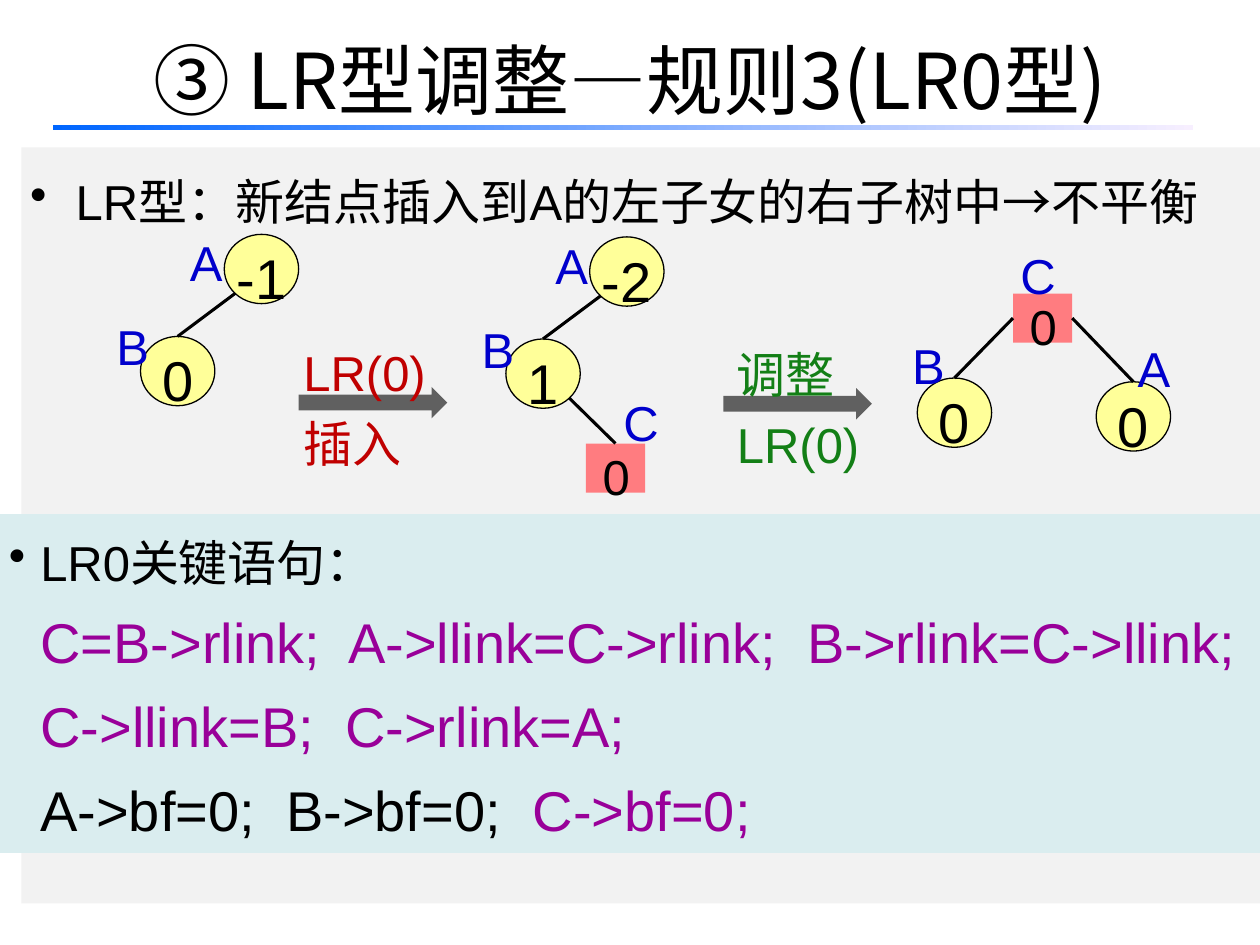
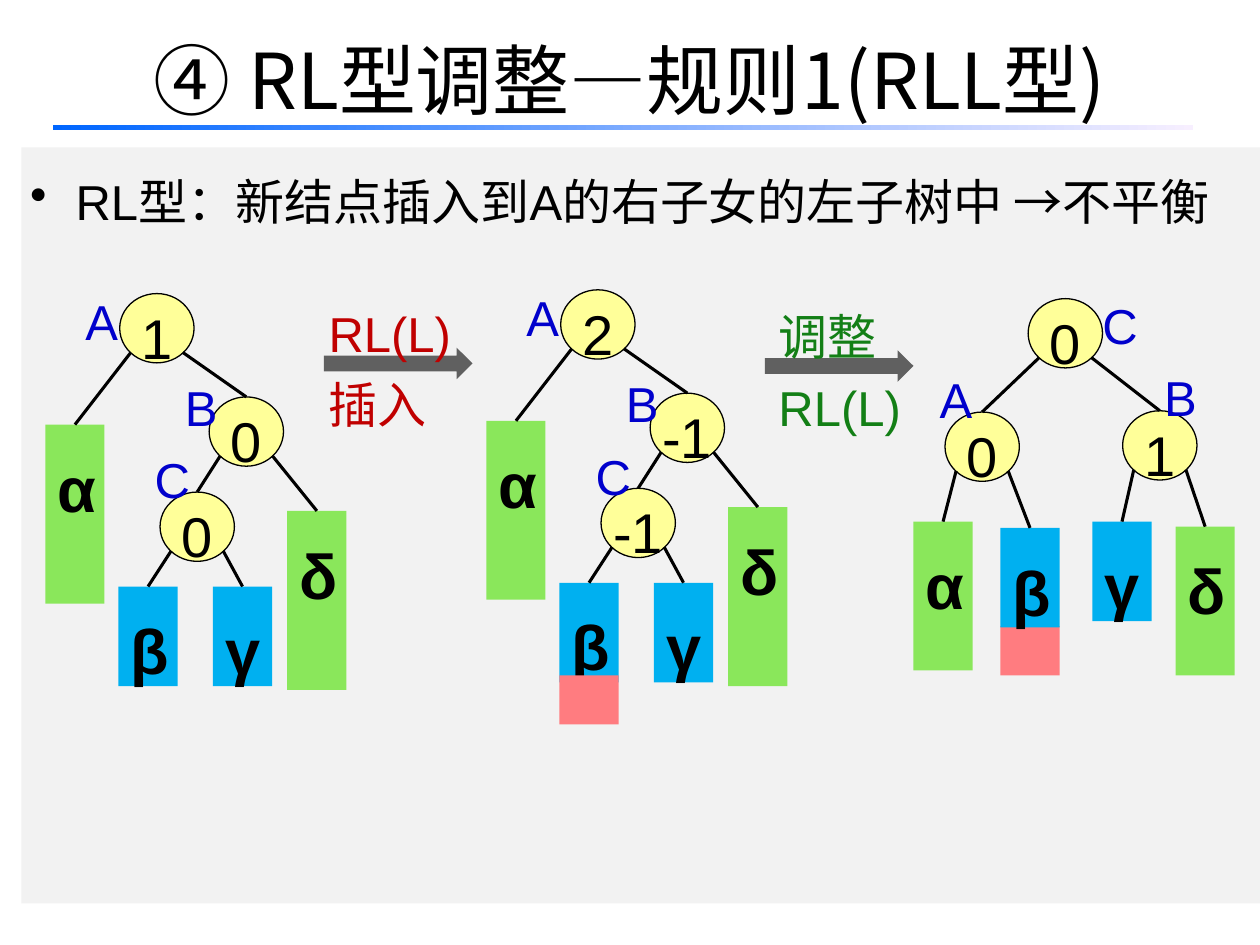
"""Build two slides on LR and RL rotations of balanced binary trees."""
from lxml import etree
from pptx import Presentation
from pptx.dml.color import RGBColor
from pptx.enum.shapes import MSO_CONNECTOR, MSO_SHAPE
from pptx.enum.text import MSO_ANCHOR, MSO_AUTO_SIZE, PP_ALIGN
from pptx.oxml.ns import qn
from pptx.util import Inches, Pt

RECT, OVAL, ARROW = MSO_SHAPE.RECTANGLE, MSO_SHAPE.OVAL, MSO_SHAPE.RIGHT_ARROW
STRAIGHT = MSO_CONNECTOR.STRAIGHT
MIDDLE, TOP = MSO_ANCHOR.MIDDLE, MSO_ANCHOR.TOP
LEFT, CENTER, JUSTIFY = PP_ALIGN.LEFT, PP_ALIGN.CENTER, PP_ALIGN.JUSTIFY
FIT_SHAPE = MSO_AUTO_SIZE.SHAPE_TO_FIT_TEXT

COLORS = {
    "text": "000000", "panel": "F2F2F2", "code_panel": "DAEDEF",
    "code": "990099", "node": "FFFF99", "name": "0000CC",
    "new": "FF7C80", "outer": "8AE75B", "inner": "00B0F0",
    "arrow": "606060", "insert": "C00000", "adjust": "137F16",
    "rule_start": "0066FF", "rule_end": "F7EFFF",
}
LATIN, CJK = "Arial", "Noto Sans CJK SC"

SLIDE_W, SLIDE_H = Inches(10), Inches(7.5)
CELL = SLIDE_W / 100
NODE_W, NODE_H = 5.9, 5.5
BOX_W, NEW_H, INNER_H = 4.7, 3.9, 7.9

BESIDE_LEFT, BESIDE_RIGHT = (-3.7, -1.8), (4.9, -1.9)
UPPER_LEFT = (-2.9, -3.2)
ABOVE_LEFT, ABOVE_RIGHT = (-1.4, -5), (2.3, -5.1)


def grid(*cells):
    """Turn counts of grid cells into lengths."""
    return [round(c * CELL) for c in cells]


def rgb(key):
    """Look up a named colour."""
    return RGBColor.from_string(COLORS[key])


def add_run(p, text, size, color, font, bold):
    """Add one formatted run to a paragraph."""
    r = p.add_run()
    r.text = text
    r.font.size, r.font.bold, r.font.name = Pt(size), bold, font
    r.font.color.rgb = rgb(color)
    etree.SubElement(r._r.get_or_add_rPr(), qn("a:ea"), typeface=CJK)


def write(sp, *lines, size=28, color="text", font=LATIN, bold=False,
          align=LEFT, anchor=TOP, wrap=True, spacing=1.25, before=0,
          bullet=False, indent=0):
    """Append lines to a shape; a line is a string or (text, colour) pairs."""
    tf = sp.text_frame
    tf.word_wrap, tf.vertical_anchor = wrap, anchor
    for line in lines:
        p = tf.add_paragraph() if tf.text else tf.paragraphs[0]
        p.alignment, p.line_spacing = align, spacing
        pPr = p._p.get_or_add_pPr()
        if before:
            p.space_before = Pt(0)
            gap = pPr.find(qn("a:spcBef"))
            gap.clear()
            etree.SubElement(gap, qn("a:spcPct"), val=str(before * 1000))
        if indent:
            pPr.set("marL", str(Inches(indent)))
            pPr.set("indent", str(-Inches(indent) if bullet else 0))
        if bullet:
            etree.SubElement(pPr, qn("a:buChar"), char="•")
        runs = [(line, color)] if isinstance(line, str) else line
        for text, run_color in runs:
            add_run(p, text, size, run_color, font, bold)


def add_box(s, kind, x, y, w, h, color):
    """Add a filled shape without outline."""
    sp = s.shapes.add_shape(kind, *grid(x, y, w, h))
    sp.shadow.inherit = False
    sp.fill.solid()
    sp.fill.fore_color.rgb = rgb(color)
    sp.line.fill.background()
    return sp


def add_text(s, x, y, w, h, *lines, **fmt):
    """Add a text box that fits its text."""
    tb = s.shapes.add_textbox(*grid(x, y, w, h))
    write(tb, *lines, wrap=False, **fmt)
    tb.text_frame.auto_size = FIT_SHAPE


def add_name(s, x, y, name):
    """Add the letter that names a node."""
    add_text(s, x, y, 4.6, 6.3, name, color="name", before=30)


def add_node(s, x, y, balance, name, shift):
    """Add a round node with its balance factor and name."""
    sp = add_box(s, OVAL, x, y, NODE_W, NODE_H, "node")
    sp.line.color.rgb, sp.line.width = rgb("text"), Pt(0.75)
    write(sp, balance, size=32, align=CENTER, anchor=MIDDLE, wrap=False,
          before=30)
    add_name(s, x + shift[0], y + shift[1], name)
    return sp


def add_new_node(s, x, y, name, shift):
    """Add the square of a newly inserted node with its name."""
    sp = add_box(s, RECT, x, y, BOX_W, NEW_H, "new")
    add_name(s, x + shift[0], y + shift[1], name)
    add_text(s, x + 0.3, y - 1.4, 4.2, 6.9, "0", align=CENTER, before=30)
    return sp


def add_subtree(s, x, y, h, letter, color):
    """Add a bar that stands for a subtree."""
    sp = add_box(s, RECT, x, y, BOX_W, h, color)
    write(sp, letter, size=36, bold=True, before=30)
    return sp


def add_edge(s, parent, child, share):
    """Join a point on a round parent's lower arc to the child's top."""
    x = round(parent.left + share * parent.width)
    y = round(parent.top + 0.85 * parent.height)
    line = s.shapes.add_connector(STRAIGHT, x, y, x, y)
    line.end_connect(child, 0)
    style_line(line)


def style_line(line):
    """Give an edge its colour and width, without a shadow."""
    line.line.color.rgb, line.line.width = rgb("text"), Pt(1.75)
    etree.SubElement(line._element.spPr, qn("a:effectLst"))


def add_children(s, parent, left=None, right=None):
    """Draw the edges from a round node to its children."""
    for child, share in ((left, 0.15), (right, 0.85)):
        if child is not None:
            add_edge(s, parent, child, share)


def add_step(s, x, y, color, dx, *lines):
    """Add a block arrow with a line of text above and below."""
    add_box(s, ARROW, x, y, 11.8, 2.5, "arrow")
    add_text(s, x + dx, y - 4.9, 11.9, 12.3, *lines, color=color, spacing=1.2)


def add_steps(s, insert_at, adjust_at, case):
    """Add the insertion and the adjustment arrows."""
    add_step(s, *insert_at, "insert", -0.6, case, "插入")
    add_step(s, *adjust_at, "adjust", 0.1, "调整", case)


def add_base(prs, title, rule):
    """Start a slide with title, gradient rule and main panel."""
    s = prs.slides.add_slide(prs.slide_layouts[6])
    tb = s.shapes.add_textbox(*grid(5, 0, 90, 12.5))
    write(tb, title, size=44, font=CJK, align=CENTER, anchor=MIDDLE, spacing=1)
    bar = add_box(s, RECT, 4.2, 9.9, 90.5, 0.4, "rule_start")
    bar.fill.gradient()
    bar.fill.gradient_angle = 0
    for stop, key in zip(bar.fill.gradient_stops, ("rule_start", "rule_end")):
        stop.color.rgb = rgb(key)
    add_panel(s, 1.7, 11.7, 98.3, 60, "panel", rule, align=JUSTIFY,
              spacing=1.3, indent=0.36)
    return s


def add_panel(s, x, y, w, h, color, heading, **fmt):
    """Add a panel that starts with a bulleted heading."""
    sp = add_box(s, RECT, x, y, w, h, color)
    sp.text_frame.margin_left = sp.text_frame.margin_right = Inches(0.07)
    write(sp, heading, bullet=True, anchor=TOP, **fmt)
    return sp


def add_top_pair(s, x, y, balance_a, balance_b):
    """Add node A with left child B."""
    a = add_node(s, x, y, balance_a, "A", BESIDE_LEFT)
    b = add_node(s, x - 6.65, y + 8.1, balance_b, "B", UPPER_LEFT)
    add_children(s, a, left=b)
    return b


def add_rll_tree(s, x, y, balance_a, balance_b, balance_c):
    """Add the RL tree before adjustment, placed by its root A."""
    a = add_node(s, x, y, balance_a, "A", BESIDE_LEFT)
    b = add_node(s, x + 7.1, y + 8.2, balance_b, "B", UPPER_LEFT)
    c = add_node(s, x + 3.2, y + 15.75, balance_c, "C", ABOVE_LEFT)
    alpha = add_subtree(s, x - 5.9, y + 10.4, 14.2, "α", "outer")
    beta = add_subtree(s, x - 0.1, y + 23.25, INNER_H, "β", "inner")
    gamma = add_subtree(s, x + 7.4, y + 23.25, INNER_H, "γ", "inner")
    delta = add_subtree(s, x + 13.3, y + 17.25, 14.2, "δ", "outer")
    add_children(s, a, alpha, b)
    add_children(s, b, c, delta)
    add_children(s, c, beta, gamma)


def add_rll_result(s):
    """Add the RL tree after adjustment, with C as root."""
    a = add_node(s, 75, 32.7, "0", "A", ABOVE_LEFT)
    c = add_node(s, 81.6, 23.7, "0", "C", BESIDE_RIGHT)
    b = add_node(s, 89.1, 32.6, "1", "B", ABOVE_RIGHT)
    alpha = add_subtree(s, 72.5, 41.4, 11.8, "α", "outer")
    add_box(s, RECT, 79.4, 49.7, BOX_W, NEW_H, "new")
    beta = add_subtree(s, 79.4, 41.9, INNER_H, "β", "inner")
    gamma = add_subtree(s, 86.7, 41.4, INNER_H, "γ", "inner")
    delta = add_subtree(s, 93.3, 41.8, 11.8, "δ", "outer")
    add_children(s, c, a, b)
    add_children(s, a, alpha, beta)
    add_children(s, b, gamma, delta)


def build_lr0(prs):
    """Build the slide on the LR0 case."""
    s = add_base(prs, "③ LR型调整—规则3(LR0型)",
                 "LR型：新结点插入到A的左子女的右子树中→不平衡")
    add_steps(s, (23.7, 30.7), (57.4, 30.8), "LR(0)")
    add_top_pair(s, 17.8, 18.6, "-1", "0")
    b = add_top_pair(s, 46.8, 18.8, "-2", "1")
    code = add_panel(s, 0, 40.8, 100, 26.9, "code_panel", "LR0关键语句：",
                     spacing=1.2, indent=0.25)
    write(code, "C=B->rlink;  A->llink=C->rlink;  B->rlink=C->llink;",
          "C->llink=B;  C->rlink=A;",
          [("A->bf=0;  B->bf=0;  ", "text"), ("C->bf=0;", "code")],
          size=32, color="code", indent=0.25)
    c = add_new_node(s, 46.5, 35.2, "C", (2, -5.7))
    add_children(s, b, right=c)

    root = add_new_node(s, 80.4, 23.3, "C", (-0.4, -5.5))
    left = add_node(s, 72.8, 30, "0", "B", ABOVE_LEFT)
    right = add_node(s, 87, 30.3, "0", "A", ABOVE_RIGHT)
    for side, child in ((1, left), (3, right)):
        line = s.shapes.add_connector(STRAIGHT, 0, 0, 0, 0)
        line.begin_connect(root, side)
        line.end_connect(child, 0)
        style_line(line)


def build_rll(prs):
    """Build the slide on the RLL case."""
    s = add_base(prs, "④ RL型调整—规则1(RLL型)",
                 "RL型：新结点插入到A的右子女的左子树中 →不平衡")
    add_rll_tree(s, 9.5, 23.3, "1", "0", "0")
    add_steps(s, (25.7, 27.6), (60.7, 27.8), "RL(L)")
    add_rll_tree(s, 44.5, 23, "2", "-1", "-1")
    add_box(s, RECT, 44.4, 53.6, BOX_W, NEW_H, "new")
    add_rll_result(s)


def main():
    """Build and save the presentation."""
    prs = Presentation()
    prs.slide_width, prs.slide_height = SLIDE_W, SLIDE_H
    build_lr0(prs)
    build_rll(prs)
    prs.save("out.pptx")


if __name__ == "__main__":
    main()
